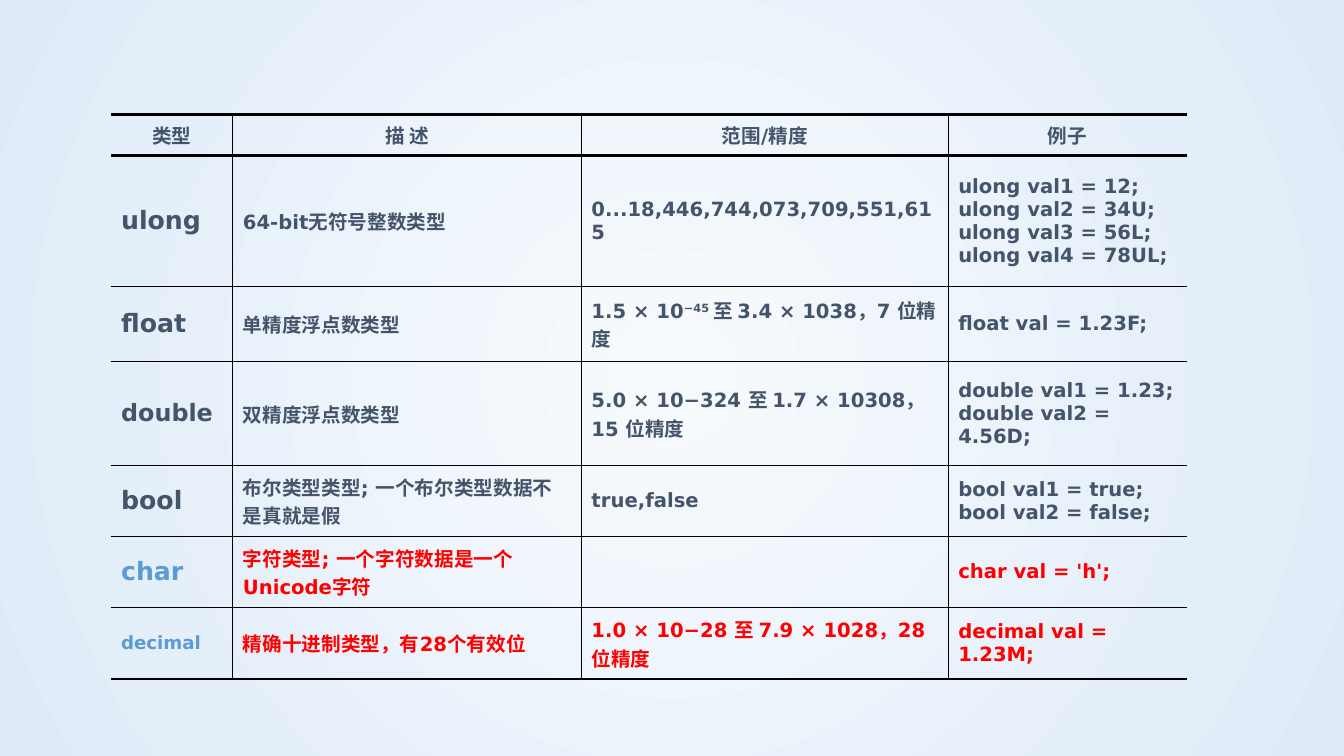
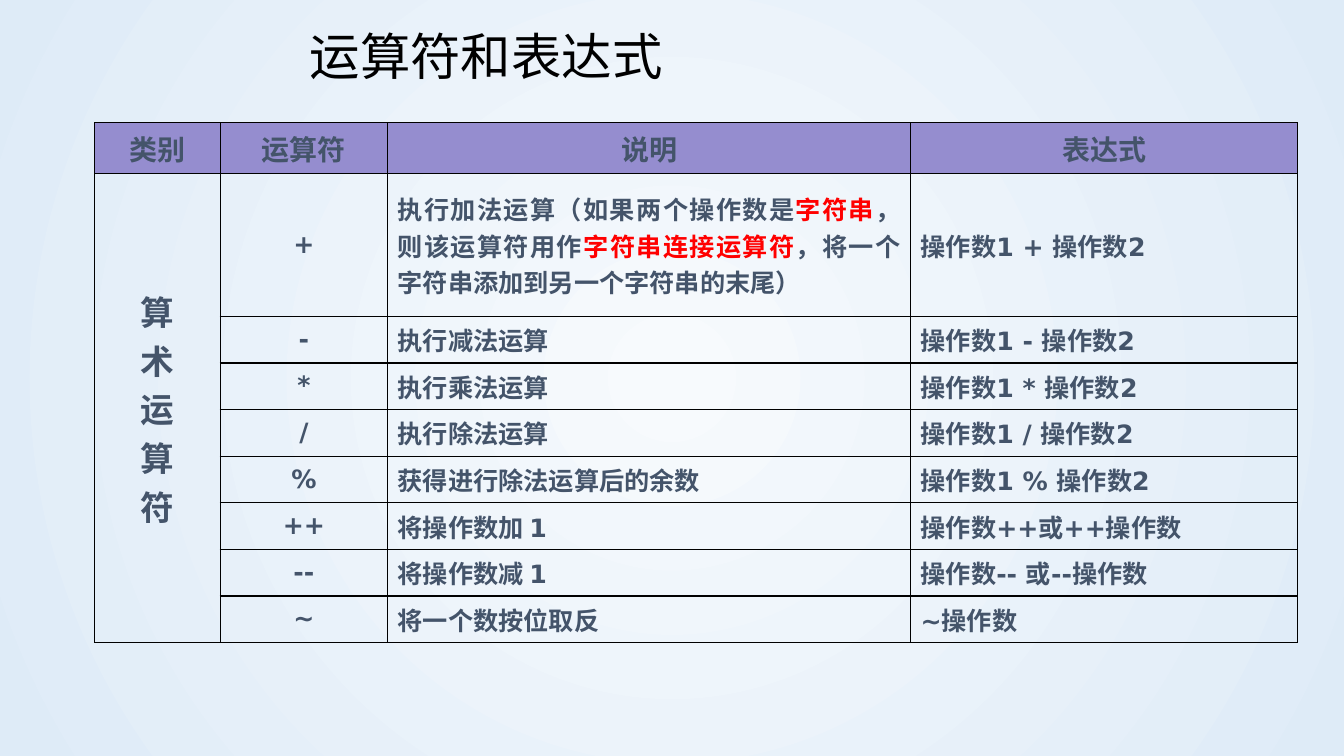
from dataclasses import dataclass

from lxml.etree import SubElement
from pptx import Presentation
from pptx.dml.color import RGBColor
from pptx.enum.text import MSO_ANCHOR, PP_ALIGN
from pptx.oxml.ns import qn
from pptx.util import Pt


@dataclass(frozen=True)
class Theme:
    """Colours, fonts and type sizes of the deck."""
    ink: str = "44546A"
    black: str = "000000"
    red: str = "FF0000"
    blue: str = "5B9BD5"
    violet: str = "958DCF"
    glow: str = "F7FAFD"
    edge: str = "DEEBF7"
    title_font: str = "Arial"
    font: str = "DejaVu Sans"
    head_font: str = "Times New Roman"
    title: int = 36
    category: int = 24
    head: int = 20
    operator: int = 18
    small: int = 14


T = Theme()
LEFT, CENTER, JUSTIFY = PP_ALIGN.LEFT, PP_ALIGN.CENTER, PP_ALIGN.JUSTIFY

TYPE_HEAD = ("类型", "描 述", "范围/精度", "例子")
TYPES = (
    (18, T.ink, T.ink, ("ulong", "64-bit无符号整数类型", "0...18,446,744,073,709,551,615",
     "ulong val1 = 12;\nulong val2 = 34U;\nulong val3 = 56L;\nulong val4 = 78UL;")),
    (18, T.ink, T.ink, ("float", "单精度浮点数类型",
     "1.5 × 10|−45 |至 3.4 × 1038，7 位精度", "float val = 1.23F;")),
    (17, T.ink, T.ink, ("double", "双精度浮点数类型",
     "5.0 × 10−324 至 1.7 × 10308，15 位精度",
     "double val1 = 1.23;\ndouble val2 = 4.56D;")),
    (18, T.ink, T.ink, ("bool", "布尔类型类型; 一个布尔类型数据不是真就是假",
     "true,false", "bool val1 = true;\nbool val2 = false;")),
    (18, T.blue, T.red, ("char", "字符类型; 一个字符数据是一个Unicode字符", "",
     "char val = 'h';")),
    (13, T.blue, T.red, ("decimal", "精确十进制类型，有28个有效位",
     "1.0 × 10−28 至 7.9 × 1028，28 位精度", "decimal val = 1.23M;")),
)

OPERATOR_HEAD = ("类别", "运算符", "说明", "表达式")
OPERATORS = (
    ("+", "执行加法运算（如果两个操作数是|字符串|，则该运算符用作|字符串连接运算符|"
     "，将一个字符串添加到另一个字符串的末尾）", "操作数1 + 操作数2"),
    ("-", "执行减法运算", "操作数1 - 操作数2"),
    ("*", "执行乘法运算", "操作数1 * 操作数2"),
    ("/", "执行除法运算", "操作数1 / 操作数2"),
    ("%", "获得进行除法运算后的余数", "操作数1 % 操作数2"),
    ("++", "将操作数加 1", "操作数++或++操作数"),
    ("--", "将操作数减 1", "操作数-- 或--操作数"),
    ("~", "将一个数按位取反", "~操作数"),
)


def rgb(color):
    """Turn a hex string into a colour."""
    return RGBColor.from_string(color)


def set_background(master):
    """Give the master a radial gradient."""
    fill = master.background.fill
    fill.gradient()
    for stop, color, pos in zip(fill.gradient_stops, (T.glow, T.edge), (0, 1)):
        stop.color.rgb = rgb(color)
        stop.position = pos
    grad = master.element.find(".//" + qn("a:gradFill"))
    for lin in grad.findall(qn("a:lin")):
        grad.remove(lin)
    shade = SubElement(grad, qn("a:path"), {"path": "circle"})
    SubElement(shade, qn("a:fillToRect"), dict.fromkeys("ltrb", "50000"))


def mark_red(r):
    """Colour a run red."""
    r.font.color.rgb = rgb(T.red)


def mark_superscript(r):
    """Raise a run."""
    r.font._element.set("baseline", "30000")


def write(cell, text, size, color=T.ink, align=LEFT, font=T.font, mark=mark_red):
    """Fill a cell, one paragraph a line, marking the parts between bars."""
    cell.vertical_anchor = MSO_ANCHOR.MIDDLE
    tf = cell.text_frame
    for i, line in enumerate(text.split("\n")):
        p = tf.add_paragraph() if i else tf.paragraphs[0]
        p.alignment = align
        p.font.size, p.font.bold, p.font.name = Pt(size), True, font
        p.font.color.rgb = rgb(color)
        for n, part in enumerate(line.split("|")):
            if part:
                r = p.add_run()
                r.text = part.replace(" × ", "×".join([chr(160)] * 2))
                if n % 2:
                    mark(r)


def set_borders(cell, widths):
    """Draw the left, right, top and bottom borders; zero means none."""
    tc_pr = cell._tc.get_or_add_tcPr()
    for side, width in zip("LRTB", widths):
        ln = SubElement(tc_pr, qn(f"a:ln{side}"), w=str(Pt(width)))
        if width:
            SubElement(SubElement(ln, qn("a:solidFill")), qn("a:srgbClr"), val=T.black)
        else:
            SubElement(ln, qn("a:noFill"))


def add_grid(s, box, cols, rows, borders):
    """Add a clear table whose columns and rows share out the box."""
    left, top, width, height = box
    tbl = s.shapes.add_table(len(rows), len(cols), *map(Pt, box)).table
    tbl.first_row = tbl.horz_banding = False
    for col, share in zip(tbl.columns, cols):
        col.width = Pt(width * share / sum(cols))
    for row, share in zip(tbl.rows, rows):
        row.height = Pt(height * share / sum(rows))
    for i in range(len(rows)):
        for j in range(len(cols)):
            cell = tbl.cell(i, j)
            set_borders(cell, borders(i, j))
            cell.fill.background()
    return tbl


def add_type_table(s, box):
    """Place the table of data types, ruled and open at the sides."""
    last_row, last_col = len(TYPES), len(TYPE_HEAD) - 1

    def borders(i, j):
        """Use heavy rules around the header and at the foot."""
        return (int(j > 0), int(j < last_col),
                2 if i < 2 else 1, 2 if i in (0, last_row) else 1)

    tbl = add_grid(s, box, (87, 249, 262, 170.5),
                   (29.3, 93.6, 53.6, 74.3, 50.7, 50.7, 51), borders)
    for j, text in enumerate(TYPE_HEAD):
        write(tbl.cell(0, j), text, T.small, align=CENTER)
    for i, (size, name_color, color, texts) in enumerate(TYPES, 1):
        for j, text in enumerate(texts):
            write(tbl.cell(i, j), text, T.small if j else size,
                  color if j else name_color, mark=mark_superscript)


def add_operator_table(s, box):
    """Place the fully ruled table of operators with its merged category."""
    tbl = add_grid(s, box, (89.6, 119.6, 373.6, 276.4),
                   (36.4, 101.8) + (33.2,) * (len(OPERATORS) - 1),
                   lambda i, j: (1, 1, 1, 1))
    for j, text in enumerate(OPERATOR_HEAD):
        cell = tbl.cell(0, j)
        write(cell, text, T.head, align=CENTER, font=T.head_font)
        cell.fill.solid()
        cell.fill.fore_color.rgb = rgb(T.violet)
    category = tbl.cell(1, 0)
    category.merge(tbl.cell(len(OPERATORS), 0))
    write(category, "\n".join("算术运算符"), T.category, align=CENTER)
    for i, texts in enumerate(OPERATORS, 1):
        for j, text in enumerate(texts, 1):
            write(tbl.cell(i, j), text, T.operator, align=CENTER if j == 1 else JUSTIFY)


def set_title(s, box, text):
    """Move and format the title placeholder."""
    title = s.shapes.title
    title.left, title.top, title.width, title.height = map(Pt, box)
    tf = title.text_frame
    tf.text = text
    tf.vertical_anchor = MSO_ANCHOR.MIDDLE
    p = tf.paragraphs[0]
    p.alignment, p.line_spacing = LEFT, 0.9
    p.font.size, p.font.name = Pt(T.title), T.title_font
    p.font.color.rgb = rgb(T.black)


def main():
    """Build and save the deck."""
    prs = Presentation()
    prs.slide_width, prs.slide_height = Pt(960), Pt(540)
    set_background(prs.slide_master)
    s = prs.slides.add_slide(prs.slide_layouts[6])
    add_type_table(s, (79.3, 81.8, 768.5, 403.2))
    s = prs.slides.add_slide(prs.slide_layouts[5])
    set_title(s, (214, 15, 544, 54), "运算符和表达式")
    add_operator_table(s, (67.7, 87.8, 859.2, 370.6))
    prs.save("out.pptx")


if __name__ == "__main__":
    main()
